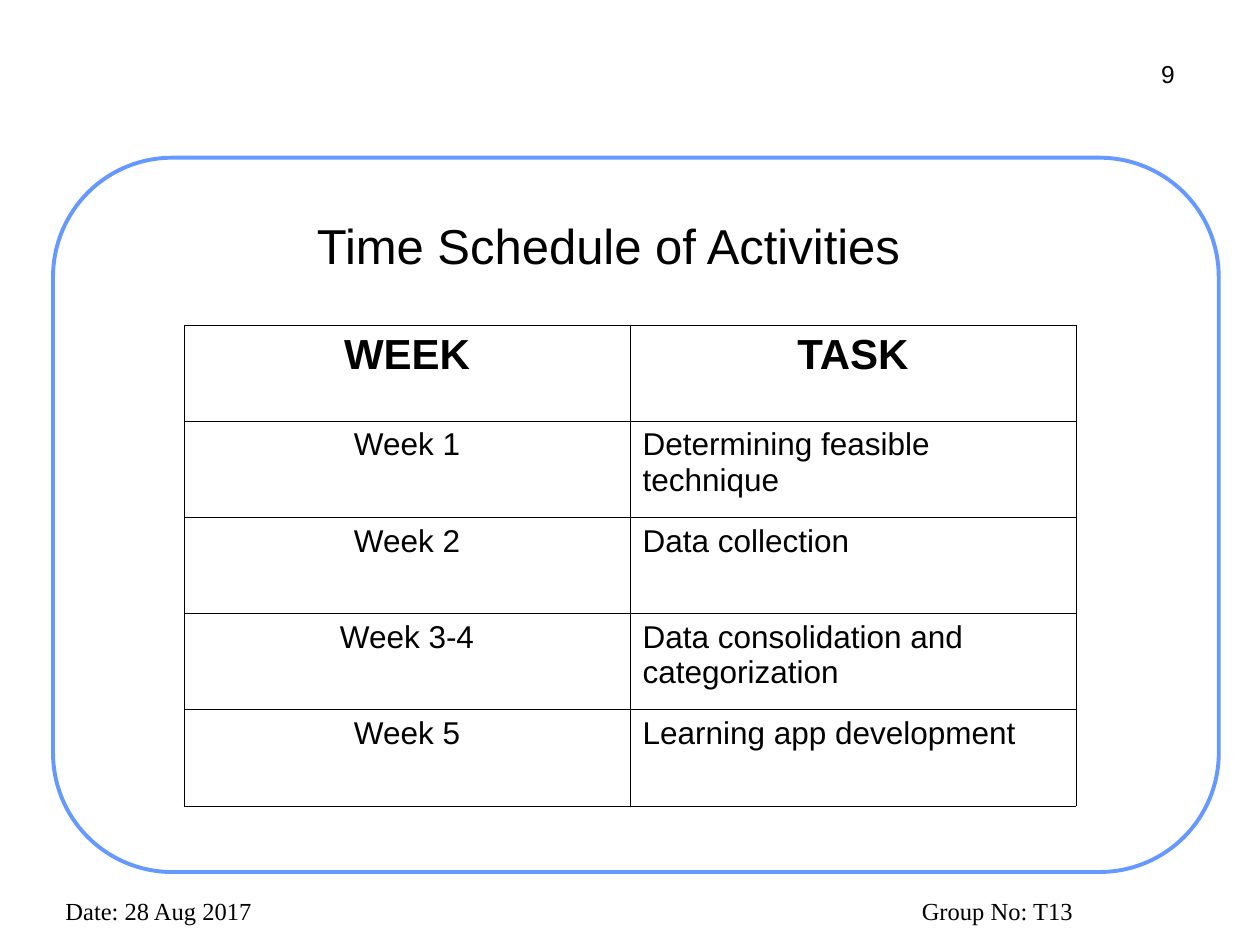
from pptx import Presentation
from pptx.dml.color import RGBColor
from pptx.enum.shapes import MSO_SHAPE
from pptx.enum.text import MSO_ANCHOR, MSO_AUTO_SIZE, PP_ALIGN
from pptx.oxml.ns import qn
from pptx.util import Cm, Pt
from lxml import etree

ROUNDED = MSO_SHAPE.ROUNDED_RECTANGLE
MIDDLE = MSO_ANCHOR.MIDDLE
NO_AUTOFIT = MSO_AUTO_SIZE.NONE
LEFT, CENTER, RIGHT = PP_ALIGN.LEFT, PP_ALIGN.CENTER, PP_ALIGN.RIGHT

COLORS = {"text": "000000", "paper": "FFFFFF", "frame": "6699FF", "grid": "000000"}
SANS, SERIF = "Arial", "Times New Roman"
TITLE_ONLY_LAYOUT = 5

SCHEDULE = [
    ("WEEK", "TASK"),
    ("Week 1", "Determining feasible technique"),
    ("Week 2", "Data collection"),
    ("Week 3-4", "Data consolidation and categorization"),
    ("Week 5", "Learning app development"),
]


def color(name):
    return RGBColor.from_string(COLORS[name])


class SlideBuilder:
    def __init__(self, slide):
        self.slide = slide

    def set_text(self, text_frame, text, size, align, font=SANS, bold=False):
        text_frame.text = text
        text_frame.word_wrap = True
        paragraph = text_frame.paragraphs[0]
        paragraph.alignment = align
        for run in paragraph.runs:
            run.font.name = font
            run.font.size = Pt(size)
            run.font.bold = bold
            run.font.color.rgb = color("text")

    def frame(self, left, top, width, height):
        """Draw the rounded outline behind everything else."""
        shape = self.slide.shapes.add_shape(ROUNDED, left, top, width, height)
        shape.shadow.inherit = False
        shape.fill.solid()
        shape.fill.fore_color.rgb = color("paper")
        shape.line.color.rgb = color("frame")
        shape.line.width = Pt(2.25)
        shape.element.getparent().insert(2, shape.element)

    def title(self, text, left, top, width, height):
        title = self.slide.shapes.title
        title.left, title.top, title.width, title.height = left, top, width, height
        title.text_frame.auto_size = NO_AUTOFIT
        title.text_frame.vertical_anchor = MIDDLE
        self.set_text(title.text_frame, text, 28, CENTER)

    def label(self, text, left, top, width, align, font):
        box = self.slide.shapes.add_textbox(left, top, width, Cm(1.32))
        self.set_text(box.text_frame, text, 14, align, font)

    def table(self, rows, left, top, width, height):
        shape = self.slide.shapes.add_table(len(rows), len(rows[0]), left, top, width, height)
        table = shape.table
        table.horz_banding = False
        for row_index, row in enumerate(rows):
            header = row_index == 0
            for column_index, text in enumerate(row):
                cell = table.cell(row_index, column_index)
                align = CENTER if header or column_index == 0 else LEFT
                self.set_text(cell.text_frame, text, 24 if header else 18, align, bold=header)
                self.borders(cell)
                cell.fill.background()

    def borders(self, cell):
        properties = cell._tc.get_or_add_tcPr()
        for side in ("a:lnL", "a:lnR", "a:lnT", "a:lnB"):
            line = etree.SubElement(properties, qn(side), w=str(Pt(0.45)))
            fill = etree.SubElement(line, qn("a:solidFill"))
            etree.SubElement(fill, qn("a:srgbClr"), val=COLORS["grid"])


def main():
    presentation = Presentation()
    presentation.slide_width, presentation.slide_height = Cm(25.4), Cm(19.05)
    layout = presentation.slide_layouts[TITLE_ONLY_LAYOUT]
    builder = SlideBuilder(presentation.slides.add_slide(layout))

    builder.frame(Cm(1.07), Cm(3.18), Cm(23.5), Cm(14.4))
    builder.title("Time Schedule of Activities", Cm(2.74), Cm(3.81), Cm(19.05), Cm(2.24))
    footer_top = Cm(17.93)
    builder.label("Date: 28 Aug 2017", Cm(1.07), footer_top, Cm(5.92), LEFT, SERIF)
    builder.label("Group No: T13", Cm(16.08), footer_top, Cm(8.05), CENTER, SERIF)
    builder.label("9", Cm(19.48), Cm(1.07), Cm(4.45), RIGHT, SANS)
    builder.table(SCHEDULE, Cm(3.71), Cm(6.55), Cm(17.98), Cm(9.7))

    presentation.save("out.pptx")


if __name__ == "__main__":
    main()
